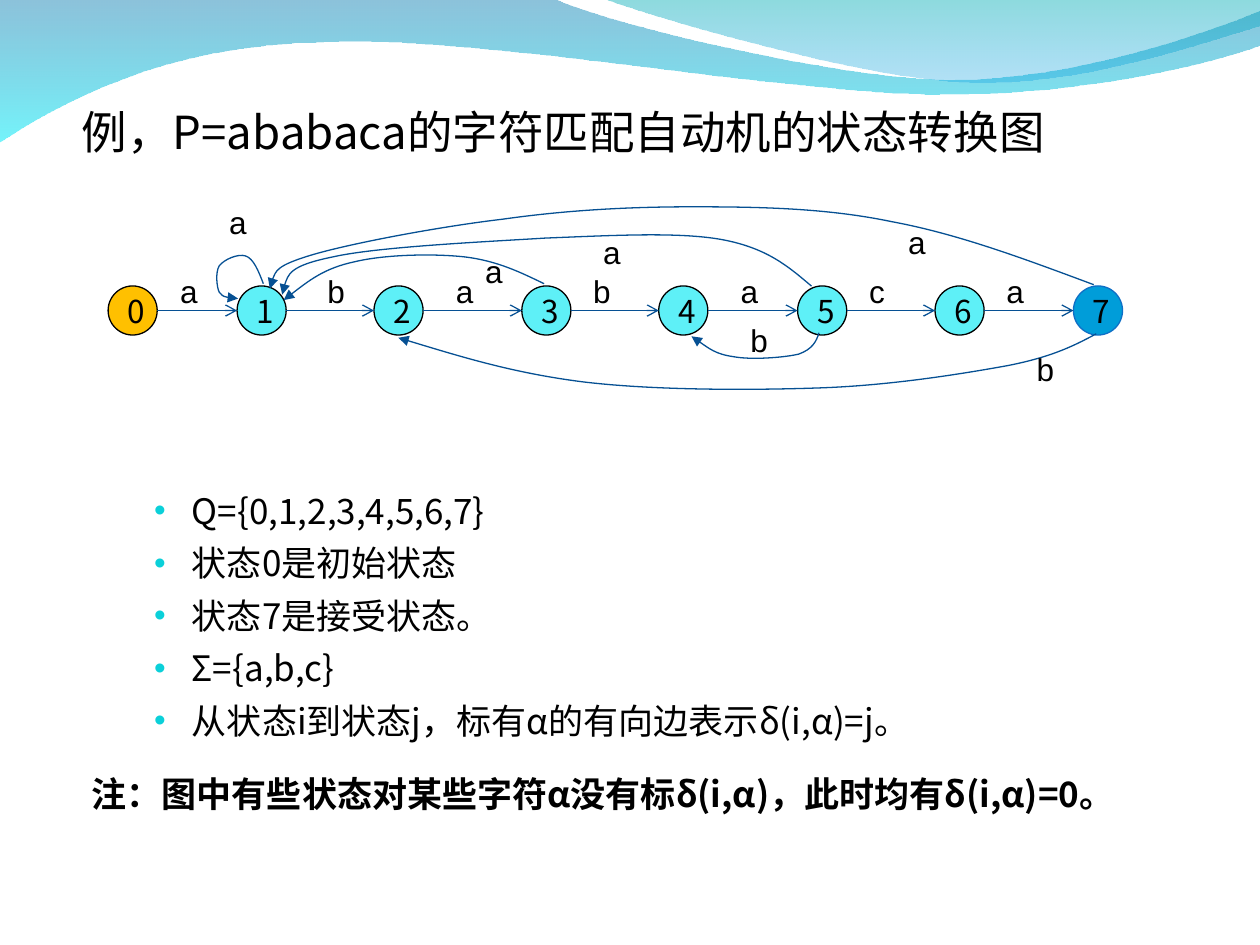
import pptx
import pptx.util
import pptx.dml.color
import pptx.enum.shapes
import pptx.enum.text
import pptx.oxml
import pptx.oxml.ns

Cm, Pt = pptx.util.Cm, pptx.util.Pt
RGB = pptx.dml.color.RGBColor
BLACK = RGB(0x00, 0x00, 0x00)
GOLD = RGB(0xFF, 0xC0, 0x00)
AQUA = RGB(0x5E, 0xF0, 0xF7)
BLUE = RGB(0x00, 0x9D, 0xD9)
RIM = RGB(0x0F, 0x6F, 0xC6)
NAVY = RGB(0x06, 0x50, 0x93)
STEEL = RGB(0x00, 0x79, 0xAF)
CYAN = RGB(0x00, 0xEB, 0xF8)
TEAL = RGB(0x00, 0xAD, 0xB6)
SKY = RGB(0x00, 0x9B, 0xE5)
HAN, SANS = "Noto Sans CJK SC", "Arial"

SIZE, MID = 0.99, 6.26  # node diameter and centre line, in cm
NODES = [2.18, 4.78, 7.54, 10.52, 13.28, 16.08, 18.85, 21.64]
STEPS = [("a", 3.38), ("b", 6.35), ("a", 8.94), ("b", 11.71),
         ("a", 14.68), ("c", 17.27), ("a", 20.04)]
BACK = [("a", 4.37, 3.96), ("a", 9.53, 4.95), ("a", 11.91, 4.57),
        ("a", 18.06, 4.37), ("b", 20.65, 6.93), ("b", 14.88, 6.35)]

# A path is a start point, then parts: one point is a line, three a curve.
WAVE = [[(0, -0.02)], [(11.18, -0.02)],
        [(12.09, 0.43), (16.87, 1.6), (19.25, 1.6)],
        [(21.67, 1.6), (24.33, 0.66), (25.4, 0.23)],
        [(25.42, 0.91)],
        [(24.97, 1.12), (22.1, 1.93), (18.95, 1.9)],
        [(15.8, 1.9), (9.7, 0.71), (6.53, 0.86)],
        [(3.28, 0.89), (1.17, 2.11), (-0.02, 2.87)]]
SHEEN = [[(12.17, -0.02)],
         [(12.93, 0.28), (17.32, 1.57), (19.53, 1.65)],
         [(21.74, 1.75), (24.41, 0.81), (25.4, 0.53)],
         [(25.4, 0)]]
ARCS = [
    [[(5.31, 5.72)],  # 1 to 1
     [(5.21, 5.46), (5.11, 5.21), (4.95, 5.16)],
     [(4.8, 5.11), (4.52, 5.23), (4.42, 5.36)],
     [(4.34, 5.49), (4.37, 5.79), (4.42, 5.89)],
     [(4.5, 5.99), (4.65, 6.02), (4.8, 6.02)]],
    [[(10.97, 5.72)],  # 3 to 1
     [(10.49, 5.49), (10.03, 5.26), (9.37, 5.18)],
     [(8.74, 5.11), (7.75, 5.13), (7.14, 5.28)],
     [(6.53, 5.41), (6.12, 5.74), (5.72, 6.05)]],
    [[(16.36, 5.77)],  # 5 to 1
     [(15.9, 5.38), (15.47, 5), (14.55, 4.83)],
     [(13.67, 4.67), (12.29, 4.75), (11, 4.8)],
     [(9.68, 4.88), (7.59, 4.98), (6.71, 5.18)],
     [(5.82, 5.36), (5.74, 5.66), (5.69, 5.94)]],
    [[(22.05, 5.74)],  # 7 to 1
     [(20.68, 5.23), (19.33, 4.72), (17.98, 4.47)],
     [(16.64, 4.19), (15.27, 4.17), (13.94, 4.17)],
     [(12.65, 4.17), (11.4, 4.24), (10.13, 4.42)],
     [(8.86, 4.57), (7.11, 4.9), (6.32, 5.13)],
     [(5.54, 5.36), (5.49, 5.59), (5.44, 5.82)]],
    [[(16.51, 6.71)],  # 5 to 4
     [(16.46, 6.88), (16.38, 7.04), (16.1, 7.14)],
     [(15.8, 7.21), (15.14, 7.26), (14.78, 7.19)],
     [(14.43, 7.14), (14.2, 6.96), (13.94, 6.78)]],
    [[(22.1, 6.73)],  # 7 to 2
     [(21.67, 6.96), (21.23, 7.19), (20.32, 7.37)],
     [(19.38, 7.54), (17.96, 7.77), (16.54, 7.82)],
     [(15.11, 7.87), (13.18, 7.87), (11.76, 7.7)],
     [(10.34, 7.52), (9.19, 7.16), (8.03, 6.81)]],
]
FACTS = ["Q={0,1,2,3,4,5,6,7}", "状态0是初始状态", "状态7是接受状态。",
         "Σ={a,b,c}", "从状态i到状态j，标有α的有向边表示δ(i,α)=j。"]
NOTE = "注：图中有些状态对某些字符α没有标δ(i,α)，此时均有δ(i,α)=0。"


def add_tag(host, tag, **attrs):
    node = pptx.oxml.parse_xml(f"<a:{tag} {pptx.oxml.ns.nsdecls('a')}/>")
    for key, val in attrs.items():
        node.set(key, val)
    host.append(node)
    return node


def add_run(para, text, size, face=HAN, bold=None):
    run = para.add_run()
    run.text = text
    run.font.size, run.font.name, run.font.bold = Pt(size), face, bold
    run.font.color.rgb = BLACK
    add_tag(run.font._element, "ea", typeface=face)


def add_box(slide, left, top, width, height):
    box = slide.shapes.add_textbox(Cm(left), Cm(top), Cm(width), Cm(height))
    box.text_frame.word_wrap = True
    return box.text_frame


def indent(para, left, hang):
    props = para._p.get_or_add_pPr()
    props.set("marL", str(Cm(left)))
    props.set("indent", str(-Cm(hang)))
    return props


def add_dot(props):
    color = add_tag(props, "buClr")
    add_tag(color, "srgbClr", val="0BD0D9")
    add_tag(props, "buSzPct", val="95000")
    add_tag(props, "buFont", typeface="Arial")
    add_tag(props, "buChar", char="•")


def bend(shape, path):
    """Join each three line parts that stand for a curve into one."""
    lines = iter(shape._element.findall(".//" + pptx.oxml.ns.qn("a:lnTo")))
    for part in path[1:]:
        group = [next(lines) for _ in part]
        if len(part) == 1:
            continue
        curve = add_tag(group[0].getparent(), "cubicBezTo")
        group[0].addprevious(curve)
        for line in group:
            curve.append(line[0])
            line.getparent().remove(line)


def add_free(slide, path, close):
    dots = [(Cm(x), Cm(y)) for part in path for x, y in part]
    pen = slide.shapes.build_freeform(*dots[0])
    pen.add_line_segments(dots[1:], close=close)
    shape = pen.convert_to_shape()
    bend(shape, path)
    shape.shadow.inherit = False
    return shape


def add_wave(slide, path, stops):
    shape = add_free(slide, path, True)
    shape.line.fill.background()
    shape.fill.gradient()
    shape.fill.gradient_angle = 270
    for stop, (color, alpha) in zip(shape.fill.gradient_stops, stops):
        stop.color.rgb = color
        add_tag(stop._gs[0], "alpha", val=str(alpha * 1000))


def ink(shape, head):
    shape.line.color.rgb = NAVY
    shape.line.width = Pt(0.75)
    add_tag(shape.line._get_or_add_ln(), "tailEnd", type=head)


def add_arc(slide, path):
    shape = add_free(slide, path, False)
    shape.fill.background()
    ink(shape, "triangle")


def add_step(slide, start, end):
    line = slide.shapes.add_connector(
        pptx.enum.shapes.MSO_CONNECTOR.STRAIGHT,
        Cm(start), Cm(MID), Cm(end), Cm(MID))
    ink(line, "arrow")
    add_tag(line._element.spPr, "effectLst")


def add_node(slide, left, text, fill, rim=BLACK):
    node = slide.shapes.add_shape(
        pptx.enum.shapes.MSO_SHAPE.OVAL,
        Cm(left), Cm(MID - SIZE / 2), Cm(SIZE), Cm(SIZE))
    node.shadow.inherit = False
    node.fill.solid()
    node.fill.fore_color.rgb = fill
    node.line.color.rgb, node.line.width = rim, Pt(0.75)
    para = node.text_frame.paragraphs[0]
    para.alignment = pptx.enum.text.PP_ALIGN.CENTER
    add_run(para, text, 18)


def add_label(slide, text, left, top):
    frame = add_box(slide, left, top, 0.79, 1.02)
    frame.word_wrap = False
    add_run(frame.paragraphs[0], text, 18, SANS)


def add_title(slide):
    frame = add_box(slide, 1.4, 1.98, 22.86, 1.78)
    add_run(frame.paragraphs[0], "例，P=ababaca的字符匹配自动机的状态转换图", 26)


def add_body(slide):
    frame = add_box(slide, 1.6, 9.53, 23.42, 7.54)
    for i, text in enumerate([*FACTS, NOTE]):
        para = frame.add_paragraph() if i else frame.paragraphs[0]
        para.line_spacing = 1.25
        last = text == NOTE
        if last:
            para.space_before = Pt(12)
            indent(para, 0.76, 0.76)
        else:
            para.level = 1
            add_dot(indent(para, 2.02, 0.76))
        add_run(para, text, 20, bold=last)


def main():
    deck = pptx.Presentation()
    deck.slide_width, deck.slide_height = Cm(25.4), Cm(19.05)
    slide = deck.slides.add_slide(deck.slide_layouts[6])
    add_wave(slide, WAVE, [(STEEL, 45), (CYAN, 55)])
    add_wave(slide, SHEEN, [(TEAL, 45), (SKY, 30)])
    add_title(slide)
    add_body(slide)
    for i, left in enumerate(NODES[:-1]):
        add_node(slide, left, str(i), AQUA if i else GOLD)
    add_node(slide, NODES[-1], "7", BLUE, RIM)
    for start, end in zip(NODES, NODES[1:]):
        add_step(slide, start + SIZE, end)
    for path in ARCS:
        add_arc(slide, path)
    for text, left in STEPS:
        add_label(slide, text, left, 5.36)
    for text, left, top in BACK:
        add_label(slide, text, left, top)
    deck.save("out.pptx")


if __name__ == "__main__":
    main()
